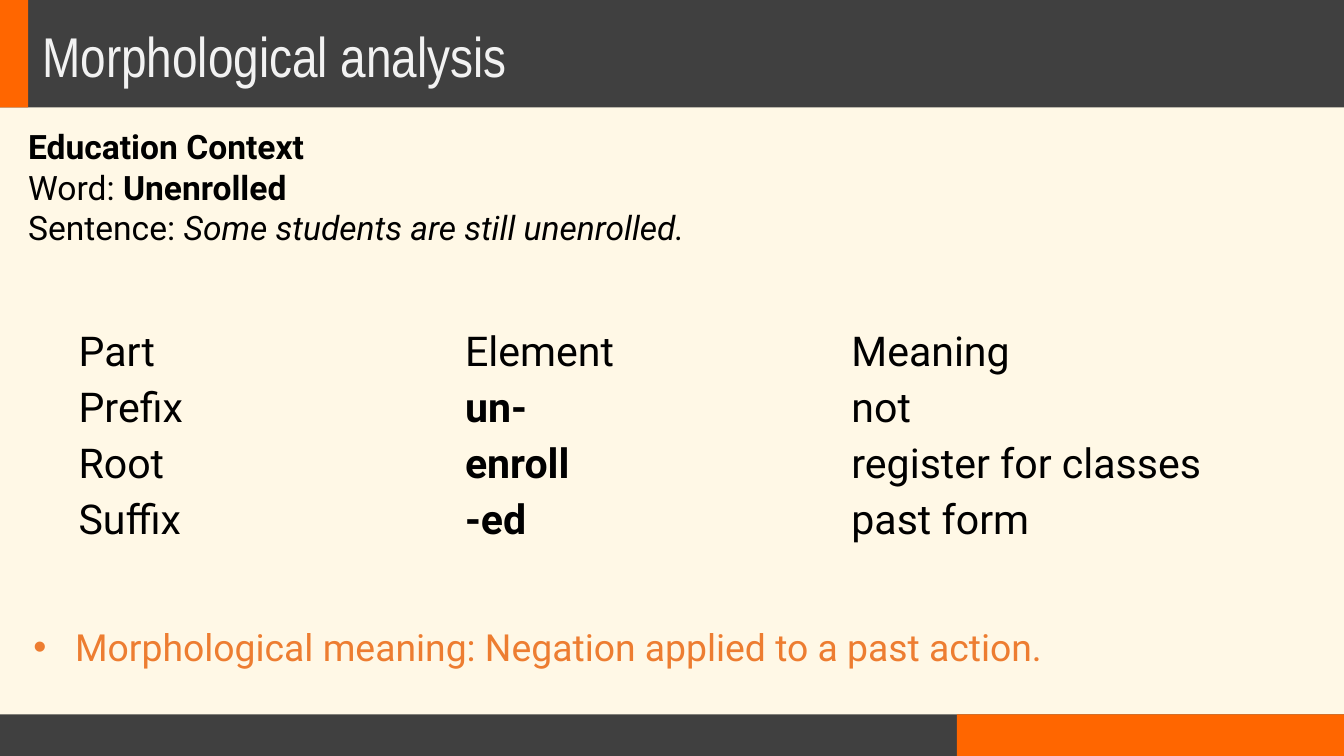
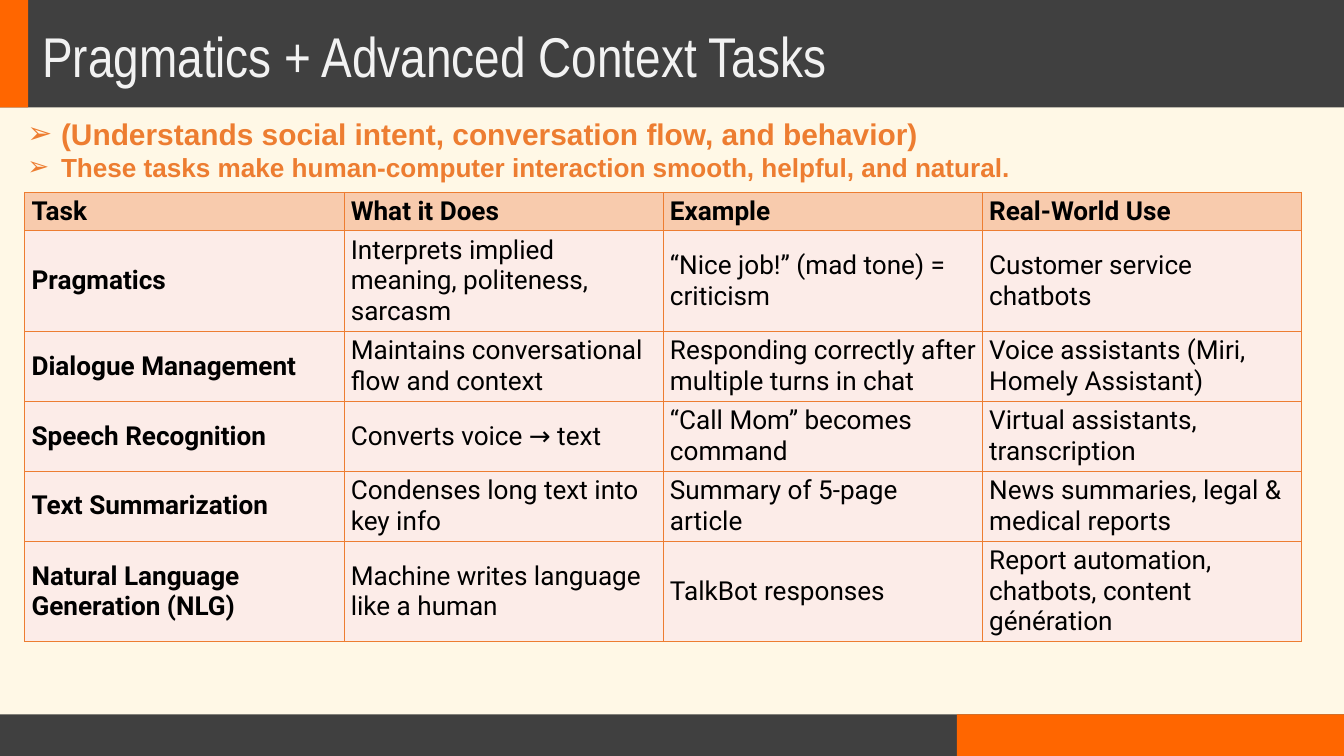
from lxml import etree
from pptx import Presentation
from pptx.dml.color import RGBColor
from pptx.enum.shapes import MSO_SHAPE
from pptx.enum.text import MSO_ANCHOR, MSO_AUTO_SIZE, PP_ALIGN
from pptx.oxml.ns import qn
from pptx.util import Inches, Pt

RECTANGLE = MSO_SHAPE.RECTANGLE
MIDDLE = MSO_ANCHOR.MIDDLE
TOP = MSO_ANCHOR.TOP
LEFT = PP_ALIGN.LEFT
FIXED_SIZE = MSO_AUTO_SIZE.NONE
FIT_TEXT = MSO_AUTO_SIZE.SHAPE_TO_FIT_TEXT

CREAM = "FFF8E6"
CHARCOAL = "404040"
BRIGHT_ORANGE = "FF6600"
ORANGE = "ED7D31"
PEACH = "F8CBAD"
BLUSH = "FCECE8"
BLACK = "000000"
PALE_GRAY = "F2F2F2"
NO_STYLE_NO_GRID = "{2D5ABB26-0587-4C30-8999-92F81FD0307C}"

color = RGBColor.from_string


def write(paragraph, text, size, font="Roboto", hex_color=BLACK, bold=False, italic=False, bullet=None, indent=0):
    if bullet:
        properties = paragraph._p.get_or_add_pPr()
        properties.set("marL", str(Inches(indent)))
        properties.set("indent", str(-Inches(indent)))
        etree.SubElement(properties, qn("a:buFont"), typeface="Arial")
        etree.SubElement(properties, qn("a:buChar"), char=bullet)
    run = paragraph.add_run()
    run.text = text
    run.font.size = Pt(size)
    run.font.name = font
    run.font.color.rgb = color(hex_color)
    run.font.bold = bold
    run.font.italic = italic


def add_text_box(slide, left, top, width, height, anchor=TOP):
    frame = slide.shapes.add_textbox(Inches(left), Inches(top), Inches(width), Inches(height)).text_frame
    frame.word_wrap = True
    frame.auto_size = FIT_TEXT
    frame.vertical_anchor = anchor
    return frame


presentation = Presentation()
presentation.slide_width = Inches(20)
presentation.slide_height = Inches(11.25)
title_layout = presentation.slide_layouts[5]
title_layout.background.fill.solid()
title_layout.background.fill.fore_color.rgb = color(CREAM)

slides = []
for heading in ["Morphological analysis", "Pragmatics + Advanced Context Tasks"]:
    slide = presentation.slides.add_slide(title_layout)
    title = slide.shapes.title
    title.left, title.top, title.width, title.height = Inches(0.53), Inches(0.46), Inches(19.3), Inches(0.84)
    title.text_frame.auto_size = FIXED_SIZE
    title.text_frame.vertical_anchor = MIDDLE
    paragraph = title.text_frame.paragraphs[0]
    paragraph.alignment = LEFT
    paragraph.line_spacing = 0.9
    write(paragraph, heading, 60, font="Arial Narrow", hex_color=PALE_GRAY)
    slides.append(slide)
morphology_slide, pragmatics_slide = slides

bands = [
    (0, 10.63, 20, 0.62, CHARCOAL),
    (14.24, 10.63, 5.76, 0.62, BRIGHT_ORANGE),
    (0, 0, 20, 1.6, CHARCOAL),
    (0, 0, 0.42, 1.6, BRIGHT_ORANGE),
]
for position, (left, top, width, height, fill) in enumerate(bands):
    band = morphology_slide.shapes.add_shape(RECTANGLE, Inches(left), Inches(top), Inches(width), Inches(height))
    band.shadow.inherit = False
    band.fill.solid()
    band.fill.fore_color.rgb = color(fill)
    band.line.fill.background()
    title_layout.shapes.element.insert(2 + position, band.element)

context_frame = add_text_box(morphology_slide, 0.32, 1.83, 13.6, 1.92)
write(context_frame.paragraphs[0], "Education Context", 36, bold=True)
paragraph = context_frame.add_paragraph()
write(paragraph, "Word: ", 36)
write(paragraph, "Unenrolled", 36, bold=True)
paragraph.add_line_break()
write(paragraph, "Sentence: ", 36)
write(paragraph, "Some students are still unenrolled.", 36, italic=True)

meaning_frame = add_text_box(morphology_slide, 0.4, 9.24, 18.13, 0.77)
write(meaning_frame.paragraphs[0], "Morphological meaning: Negation applied to a past action.", 40,
      hex_color=ORANGE, bullet="•", indent=0.62)

summary_frame = add_text_box(pragmatics_slide, 0.31, 1.66, 19.3, 1.11, anchor=MIDDLE)
write(summary_frame.paragraphs[0], "(Understands social intent, conversation flow, and behavior)", 32,
      font="Arial", hex_color=ORANGE, bold=True, bullet="➢", indent=0.5)
write(summary_frame.add_paragraph(), "These tasks make human-computer interaction smooth, helpful, and natural.", 28,
      font="Arial", hex_color=ORANGE, bold=True, bullet="➢", indent=0.5)

word_parts = [
    ["Part", "Element", "Meaning"],
    ["Prefix", "un-", "not"],
    ["Root", "enroll", "register for classes"],
    ["Suffix", "-ed", "past form"],
]
context_tasks = [
    ["Task", "What it Does", "Example", "Real-World Use"],
    ["Pragmatics", "Interprets implied meaning, politeness, sarcasm",
     "“Nice job!” (mad tone) = criticism", "Customer service chatbots"],
    ["Dialogue Management", "Maintains conversational flow and context",
     "Responding correctly after multiple turns in chat", "Voice assistants (Miri, Homely Assistant)"],
    ["Speech Recognition", "Converts voice → text",
     "“Call Mom” becomes command", "Virtual assistants, transcription"],
    ["Text Summarization", "Condenses long text into key info",
     "Summary of 5-page article", "News summaries, legal & medical reports"],
    ["Natural Language Generation (NLG)", "Machine writes language like a human",
     "TalkBot responses", "Report automation, chatbots, content génération"],
]
tables = [
    (morphology_slide, word_parts, 1.07, 4.83, 5.75, [0.83] * 4, 44, False),
    (pragmatics_slide, context_tasks, 0.37, 2.86, 4.75, [0.57, 1.49, 1.04, 1.04, 1.04, 1.49], 28, True),
]
for slide, rows, left, top, column_width, row_heights, size, ruled in tables:
    column_count = len(rows[0])
    table = slide.shapes.add_table(len(rows), column_count, Inches(left), Inches(top),
                                   Inches(column_width * column_count), Inches(sum(row_heights))).table
    table.first_row = False
    table.horz_banding = False
    table._tbl.tblPr.find(qn("a:tableStyleId")).text = NO_STYLE_NO_GRID
    for column in table.columns:
        column.width = Inches(column_width)
    for row_index, row in enumerate(rows):
        table.rows[row_index].height = Inches(row_heights[row_index])
        for column_index, text in enumerate(row):
            cell = table.cell(row_index, column_index)
            cell.vertical_anchor = MIDDLE
            if ruled:
                bold = row_index == 0 or column_index == 0
                for side in ["a:lnL", "a:lnR", "a:lnT", "a:lnB"]:
                    border = etree.SubElement(cell._tc.get_or_add_tcPr(), qn(side), w=str(Pt(1)))
                    border_fill = etree.SubElement(border, qn("a:solidFill"))
                    etree.SubElement(border_fill, qn("a:srgbClr"), val=ORANGE)
                cell.fill.solid()
                cell.fill.fore_color.rgb = color(PEACH if row_index == 0 else BLUSH)
            else:
                bold = row_index > 0 and column_index == 1
                cell.fill.background()
            write(cell.text_frame.paragraphs[0], text, size, bold=bold)

presentation.save("out.pptx")
